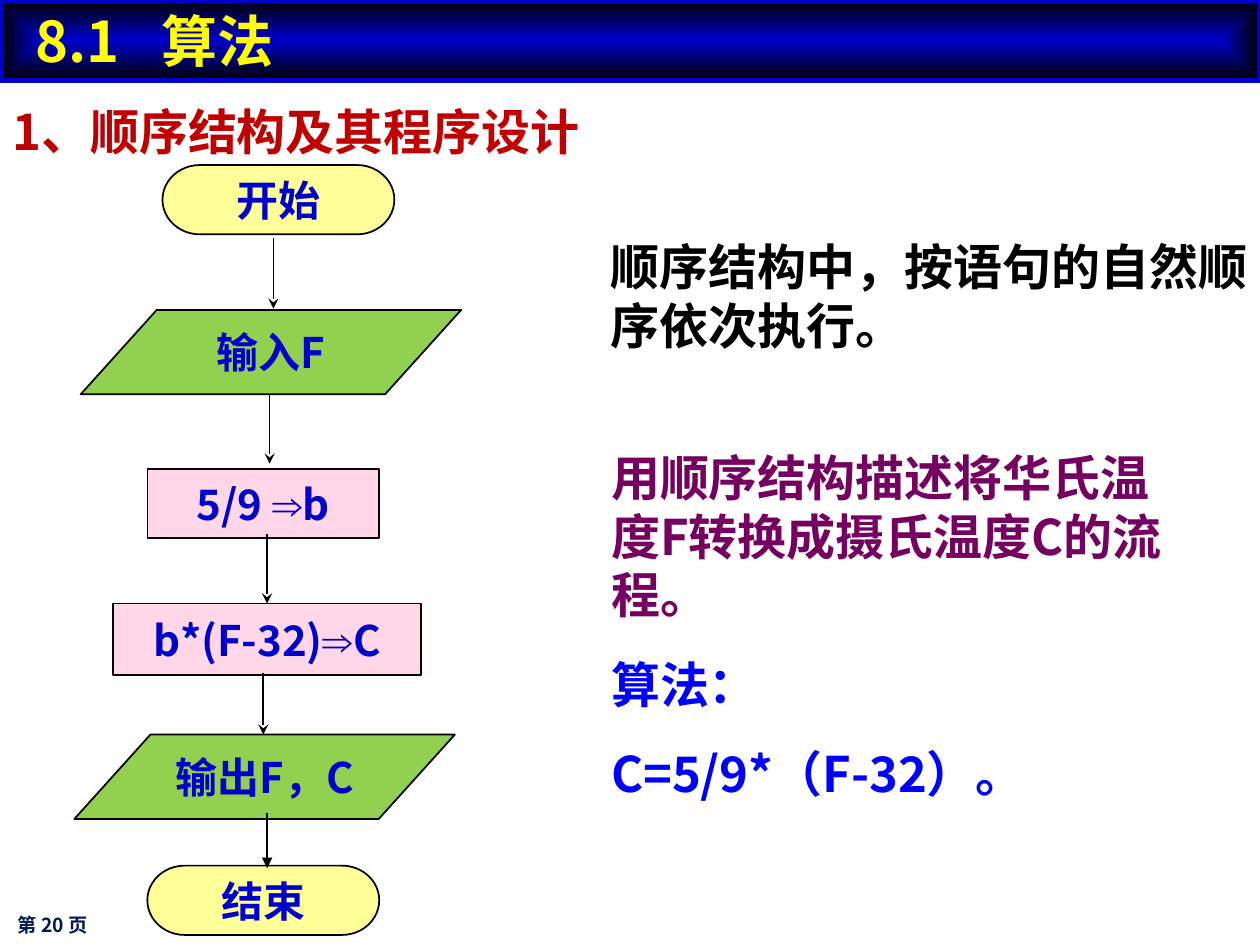
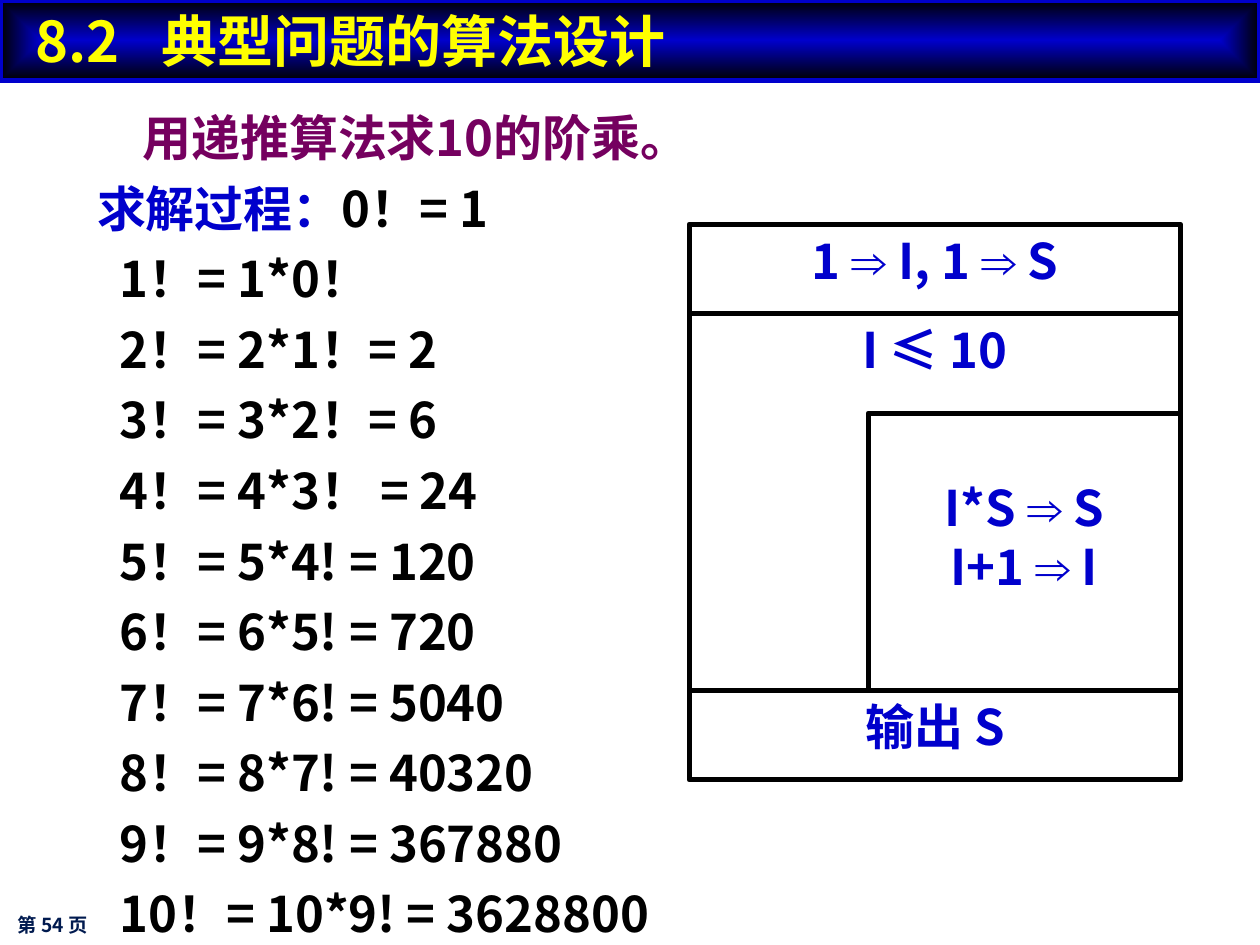
from dataclasses import dataclass

from lxml import etree
from pptx import Presentation
from pptx import util as u
from pptx.dml.color import RGBColor
from pptx.enum import shapes, text
from pptx.oxml.ns import qn


@dataclass(frozen=True)
class Theme:
    title_font: str = "Noto Sans CJK JP"
    text_font: str = "Noto Sans CJK SC"
    symbol_font: str = "Arial"
    title_size: int = 32
    text_size: int = 28
    flow_size: int = 24
    page_size: int = 11
    yellow: str = "FFFF00"
    blue: str = "0000CC"
    bright_blue: str = "0000FF"
    purple: str = "75005F"
    red: str = "C00000"
    black: str = "000000"
    navy: str = "001A4F"
    terminal_fill: str = "FFFF99"
    data_fill: str = "92D050"
    process_fill: str = "FFD7E8"


THEME = Theme()


@dataclass(frozen=True)
class Line:
    segments: tuple
    indent: float = 0
    before: float = 0
    spacing: float = 1


def line(words, color, **layout):
    return Line(((words, color),), **layout)


def color_of(code):
    return RGBColor.from_string(code)


def place(shape, box):
    shape.left, shape.top, shape.width, shape.height = (u.Inches(n) for n in box)


def set_typeface(font, name):
    font.name = name
    etree.SubElement(font._element, qn("a:ea")).set("typeface", name)


def set_font(paragraph, size, color, name=THEME.text_font):
    font = paragraph.font
    font.size, font.bold = u.Pt(size), True
    font.color.rgb = color_of(color)
    set_typeface(font, name)


def prepare_frame(frame, anchor=text.MSO_ANCHOR.TOP, wrap=True):
    frame.auto_size = text.MSO_AUTO_SIZE.NONE
    frame.word_wrap = wrap
    frame.vertical_anchor = anchor
    frame.margin_left = frame.margin_right = u.Inches(0.1)
    frame.margin_top = frame.margin_bottom = u.Inches(0.05)


def write_lines(frame, lines, size=THEME.text_size, align=text.PP_ALIGN.LEFT):
    for index, item in enumerate(lines):
        paragraph = frame.add_paragraph() if index else frame.paragraphs[0]
        properties = paragraph._p.get_or_add_pPr()
        properties.set("marL", str(u.Inches(item.indent)))
        properties.set("indent", "0")
        etree.SubElement(properties, qn("a:buNone"))
        paragraph.alignment = align
        paragraph.line_spacing = item.spacing
        paragraph.space_before = u.Pt(item.before if index else 0)
        base_color = item.segments[0][1]
        set_font(paragraph, size, base_color)
        for words, color in item.segments:
            for piece in words.replace("⇒", "|⇒|").split("|"):
                if not piece:
                    continue
                run = paragraph.add_run()
                run.text = piece
                if color != base_color:
                    run.font.color.rgb = color_of(color)
                if piece == "⇒":
                    set_typeface(run.font, THEME.symbol_font)


def add_label(slide, box, lines, size=THEME.text_size, anchor=text.MSO_ANCHOR.TOP):
    label = slide.shapes.add_textbox(*(u.Inches(n) for n in box))
    prepare_frame(label.text_frame, anchor)
    write_lines(label.text_frame, lines, size)


def add_block(slide, kind, box, weight, fill=None):
    block = slide.shapes.add_shape(kind, *(u.Inches(n) for n in box))
    block.shadow.inherit = False
    if fill:
        block.fill.solid()
        block.fill.fore_color.rgb = color_of(fill)
    else:
        block.fill.background()
    block.line.color.rgb = color_of(THEME.black)
    block.line.width = u.Pt(weight)
    return block


def fill_band(shape):
    shape.fill.gradient()
    for stop, color in zip(shape.fill.gradient_stops, (THEME.blue, THEME.black)):
        stop.color.rgb = color_of(color)
    gradient = shape._element.spPr.find(qn("a:gradFill"))
    gradient.remove(gradient.find(qn("a:lin")))
    shading = etree.SubElement(gradient, qn("a:path"))
    shading.set("path", "rect")
    center = etree.SubElement(shading, qn("a:fillToRect"))
    for side in "ltrb":
        center.set(side, "50000")
    shape.line.color.rgb = color_of(THEME.blue)
    shape.line.width = u.Pt(3)


def start_slide(presentation, number, name, page):
    slide = presentation.slides.add_slide(presentation.slide_layouts[1])
    title = slide.shapes.title
    place(title, (0, 0, 10, 0.64))
    fill_band(title)
    prepare_frame(title.text_frame)
    title.text_frame.margin_left = u.Inches(0.28)
    paragraph = title.text_frame.paragraphs[0]
    paragraph.text = f"{number}\t{name}"
    tabs = etree.SubElement(paragraph._p.get_or_add_pPr(), qn("a:tabLst"))
    tab = etree.SubElement(tabs, qn("a:tab"))
    tab.set("pos", str(u.Inches(1)))
    tab.set("algn", "l")
    paragraph.alignment = text.PP_ALIGN.LEFT
    set_font(paragraph, THEME.title_size, THEME.yellow, THEME.title_font)
    add_label(slide, (0.04, 7.15, 2.67, 0.38), [line(f"第 {page} 页", THEME.navy)],
              THEME.page_size, text.MSO_ANCHOR.MIDDLE)
    return slide


def fill_body(slide, box, lines):
    body = slide.placeholders[1]
    place(body, box)
    prepare_frame(body.text_frame)
    write_lines(body.text_frame, lines)


def add_arrow(slide, x, top, bottom, head):
    arrow = slide.shapes.add_connector(
        shapes.MSO_CONNECTOR.STRAIGHT, *(u.Inches(n) for n in (x, top, x, bottom)))
    arrow.line.color.rgb = color_of(THEME.black)
    arrow.line.width = u.Pt(1)
    outline = arrow._element.spPr.find(qn("a:ln"))
    etree.SubElement(outline, qn("a:tailEnd")).set("type", head)
    etree.SubElement(arrow._element.spPr, qn("a:effectLst"))
    return arrow


def draw_flowchart(slide, left, top):
    kinds = {
        "terminal": (shapes.MSO_SHAPE.FLOWCHART_TERMINATOR, THEME.terminal_fill, 1.84, 0.55),
        "data": (shapes.MSO_SHAPE.FLOWCHART_DATA, THEME.data_fill, 3.02, 0.67),
        "process": (shapes.MSO_SHAPE.FLOWCHART_PROCESS, THEME.process_fill, 1.84, 0.55),
        "wide": (shapes.MSO_SHAPE.FLOWCHART_PROCESS, THEME.process_fill, 2.44, 0.57),
    }
    steps = [
        ("terminal", "开始", 0.7, 0),
        ("data", "输入F", 0.05, 1.15),
        ("process", "5/9 ⇒b", 0.58, 2.41),
        ("wide", "b*(F-32)⇒C", 0.31, 3.48),
        ("data", "输出F，C", 0, 4.52),
        ("terminal", "结束", 0.58, 5.56),
    ]
    arrows = [
        (1.58, 0.58, 1.14, "stealth"),
        (1.55, 1.82, 2.37, "stealth"),
        (1.53, 2.93, 3.48, "stealth"),
        (1.5, 4.03, 4.52, "stealth"),
        (1.53, 5.14, 5.58, "triangle"),
    ]
    blocks = []
    for kind, words, x, y in steps:
        geometry, fill, width, height = kinds[kind]
        block = add_block(slide, geometry, (left + x, top + y, width, height), 1, fill)
        prepare_frame(block.text_frame, text.MSO_ANCHOR.MIDDLE, wrap=False)
        write_lines(block.text_frame, [line(words, THEME.blue)],
                    THEME.flow_size, text.PP_ALIGN.CENTER)
        blocks.append(block)
    connectors = [add_arrow(slide, left + x, top + begin, top + end, head)
                  for x, begin, end, head in arrows]
    connectors[2].end_connect(blocks[3], 0)


def draw_structure_chart(slide, left, top, width, height):
    row, loop_inset, loop_head = 0.71, 1.42, 0.79
    loop_height = height - 2 * row
    cells = [
        ((0, 0, width, row), ["1 ⇒ I, 1 ⇒ S"], 0.05),
        ((0, row, width, loop_height), ["I ≤ 10"], 0.05),
        ((loop_inset, row + loop_head, width - loop_inset, loop_height - loop_head),
         ["I*S ⇒ S", "I+1 ⇒ I"], 0.51),
        ((0, height - row, width, row), ["输出 S"], 0.05),
    ]
    for (x, y, cell_width, cell_height), words, margin in cells:
        cell = add_block(slide, shapes.MSO_SHAPE.RECTANGLE,
                         (left + x, top + y, cell_width, cell_height), 3)
        prepare_frame(cell.text_frame)
        cell.text_frame.margin_top = u.Inches(margin)
        write_lines(cell.text_frame, [line(item, THEME.blue) for item in words],
                    align=text.PP_ALIGN.CENTER)


def build_sequence_slide(presentation):
    slide = start_slide(presentation, "8.1", "算法", 20)
    fill_body(slide, (4.75, 3.5, 4.83, 2.92), [
        line("用顺序结构描述将华氏温度F转换成摄氏温度C的流程。", THEME.purple),
        line("算法：", THEME.bright_blue, before=17.5),
        line("C=5/9*（F-32）。", THEME.bright_blue, before=17.5),
    ])
    add_label(slide, (0, 0.76, 6.17, 0.57), [line("1、顺序结构及其程序设计", THEME.red)])
    add_label(slide, (4.75, 1.83, 5.25, 1.04),
              [line("顺序结构中，按语句的自然顺序依次执行。", THEME.black)])
    draw_flowchart(slide, 0.59, 1.31)


def build_factorial_slide(presentation):
    slide = start_slide(presentation, "8.2", "典型问题的算法设计", 54)
    factorials = [
        "1！= 1*0！", "2！= 2*1！= 2", "3！= 3*2！= 6", "4！= 4*3！ = 24",
        "5！= 5*4! = 120", "6！= 6*5! = 720", "7！= 7*6! = 5040",
        "8！= 8*7! = 40320", "9！= 9*8! = 367880", "10！= 10*9! = 3628800",
    ]
    fill_body(slide, (0.67, 0.71, 5.67, 6.58), [
        line("用递推算法求10的阶乘。", THEME.purple, indent=0.36, spacing=1.2),
        Line((("求解过程：", THEME.blue), ("0！= 1", THEME.black)), spacing=1.2),
        *(line(item, THEME.black, indent=0.18, spacing=1.2) for item in factorials),
    ])
    draw_structure_chart(slide, 5.47, 1.78, 3.9, 4.41)


def main():
    presentation = Presentation()
    presentation.slide_width, presentation.slide_height = u.Inches(10), u.Inches(7.5)
    build_sequence_slide(presentation)
    build_factorial_slide(presentation)
    presentation.save("out.pptx")


if __name__ == "__main__":
    main()
